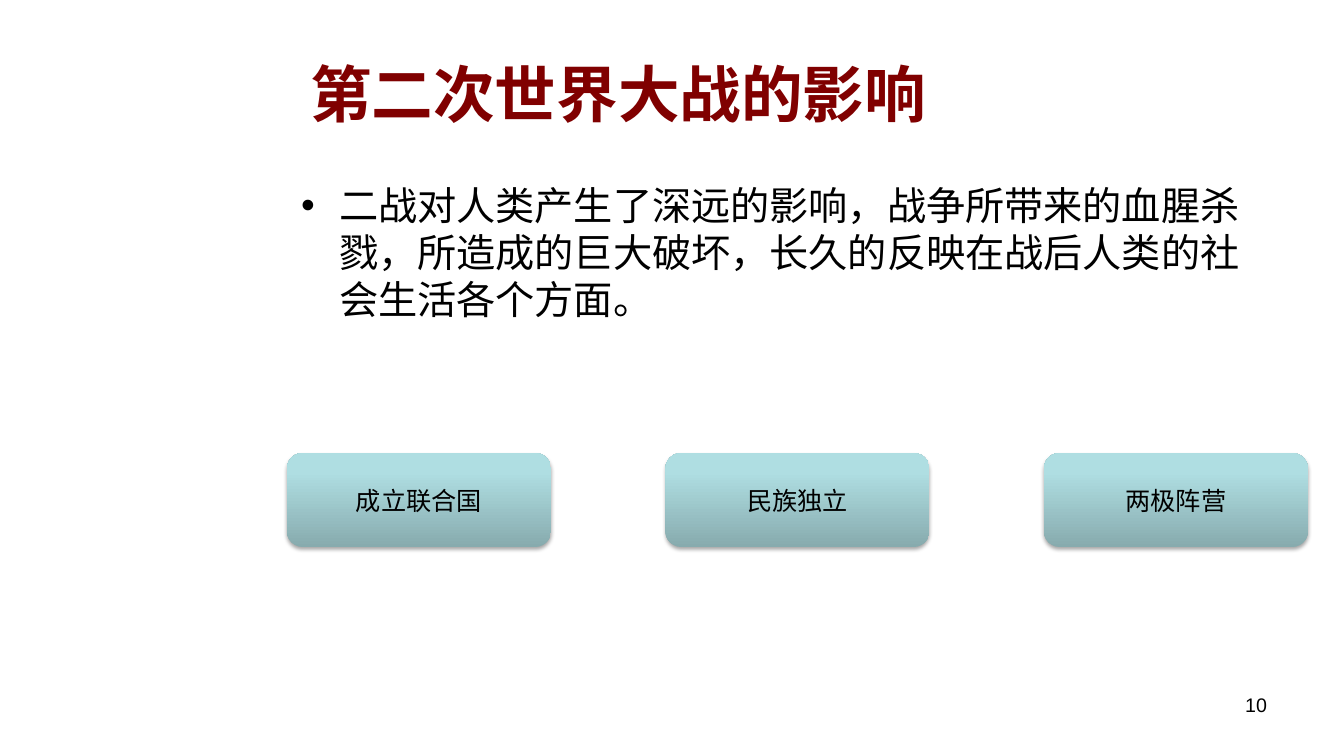
from lxml.etree import fromstring
from pptx import Presentation
from pptx.dml.color import RGBColor
from pptx.enum.shapes import MSO_SHAPE
from pptx.enum.text import MSO_ANCHOR, MSO_AUTO_SIZE, PP_ALIGN
from pptx.oxml.ns import nsdecls, qn
from pptx.util import Pt

PX = 9144000 / 1008  # EMU per px
CJK = "Noto Sans CJK SC"


def place(shape, left, top, width, height):
    shape.left, shape.top = round(left * PX), round(top * PX)
    shape.width, shape.height = round(width * PX), round(height * PX)


def write(shape, text, size, color, face, align, anchor, bold=False):
    frame = shape.text_frame
    frame.text = text
    frame.word_wrap = True
    frame.auto_size = MSO_AUTO_SIZE.NONE
    frame.vertical_anchor = anchor
    paragraph = frame.paragraphs[0]
    paragraph.alignment = align
    font = paragraph.runs[0].font
    font.size, font.bold, font.name = Pt(size), bold, face
    font.color.rgb = RGBColor.from_string(color)
    east_asian = font._element.makeelement(qn("a:ea"), {"typeface": face})
    font._element.find(qn("a:latin")).addnext(east_asian)
    return paragraph


deck = Presentation()
deck.slide_width, deck.slide_height = round(1344 * PX), round(756 * PX)
slide = deck.slides.add_slide(deck.slide_layouts[1])

# Title
title = slide.shapes.title
place(title, 300, 30, 976, 126)
write(title, "第二次世界大战的影响", 44, "800000", CJK,
      PP_ALIGN.LEFT, MSO_ANCHOR.MIDDLE, bold=True)

# Summary bullet
summary = slide.placeholders[1]
place(summary, 291, 176, 986, 499)
bullet = write(
    summary,
    "二战对人类产生了深远的影响，战争所带来的血腥杀戮，"
    "所造成的巨大破坏，长久的反映在战后人类的社会生活各个方面。",
    28, "000000", CJK, PP_ALIGN.LEFT, MSO_ANCHOR.TOP)
bullet.space_before = Pt(0)
indent = bullet._p.get_or_add_pPr()
indent.set("marL", str(round(38 * PX)))
indent.set("indent", str(round(-38 * PX)))

# Three consequences
GRADIENT = f"""<a:gradFill {nsdecls('a')} rotWithShape="1"><a:gsLst>
<a:gs pos="0"><a:srgbClr val="87ABAE"/></a:gs>
<a:gs pos="80000"><a:srgbClr val="AFDEE2"/></a:gs>
<a:gs pos="100000"><a:srgbClr val="AFE0E4"/></a:gs>
</a:gsLst><a:lin ang="16200000" scaled="0"/></a:gradFill>"""
SHADOW = f"""<a:outerShdw {nsdecls('a')} blurRad="39370" dist="22860"
dir="5400000" rotWithShape="0"><a:srgbClr val="000000">
<a:alpha val="35000"/></a:srgbClr></a:outerShdw>"""

for column, consequence in enumerate(["成立联合国", "民族独立", "两极阵营"]):
    box = slide.shapes.add_shape(MSO_SHAPE.ROUNDED_RECTANGLE, 0, 0, 0, 0)
    place(box, 287 + 378.5 * column, 453, 264, 94)
    write(box, consequence, 18, "000000", CJK,
          PP_ALIGN.CENTER, MSO_ANCHOR.MIDDLE)
    box.line.fill.background()
    box.shadow.inherit = False
    properties = box._element.spPr
    properties.find(qn("a:prstGeom")).addnext(fromstring(GRADIENT))
    properties.find(qn("a:effectLst")).append(fromstring(SHADOW))

# Page number
page_number = slide.shapes.add_textbox(0, 0, 0, 0)
place(page_number, 964, 688, 313, 52)
write(page_number, "10", 14, "000000", "Arial",
      PP_ALIGN.RIGHT, MSO_ANCHOR.TOP)

deck.save("out.pptx")
